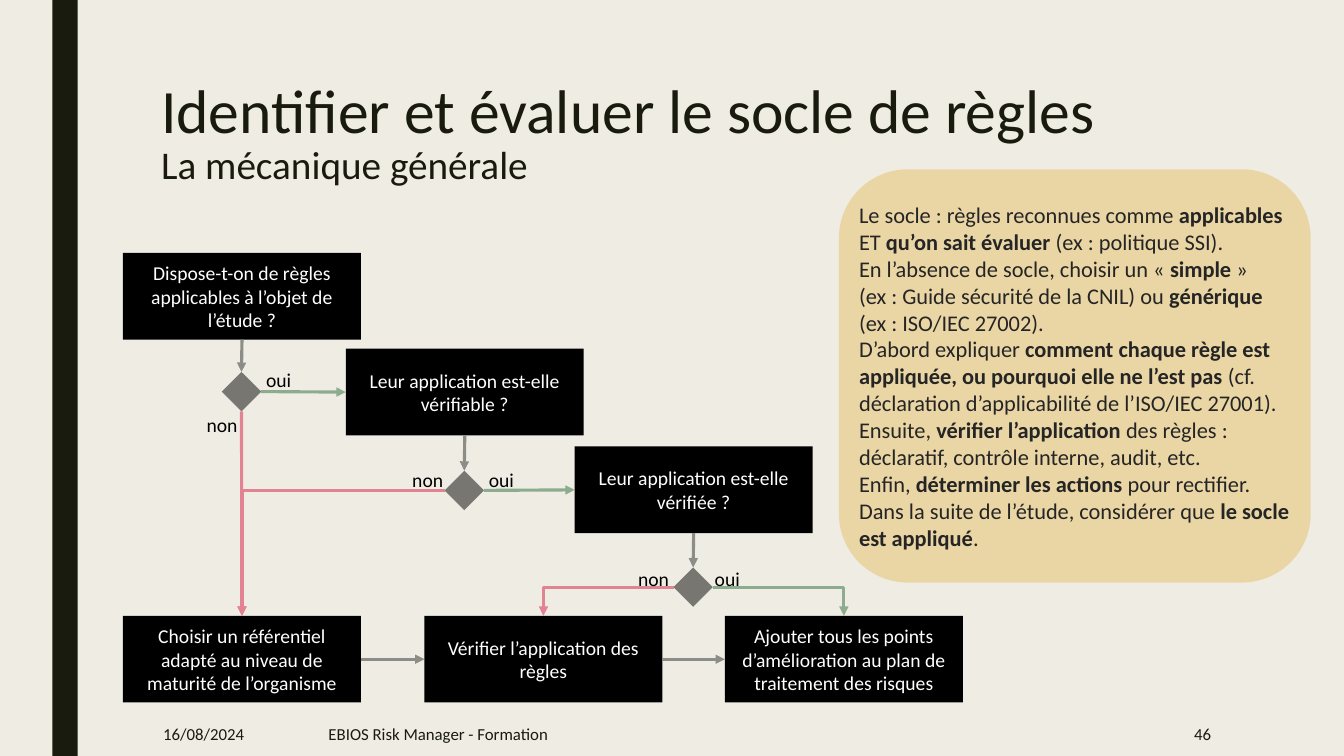
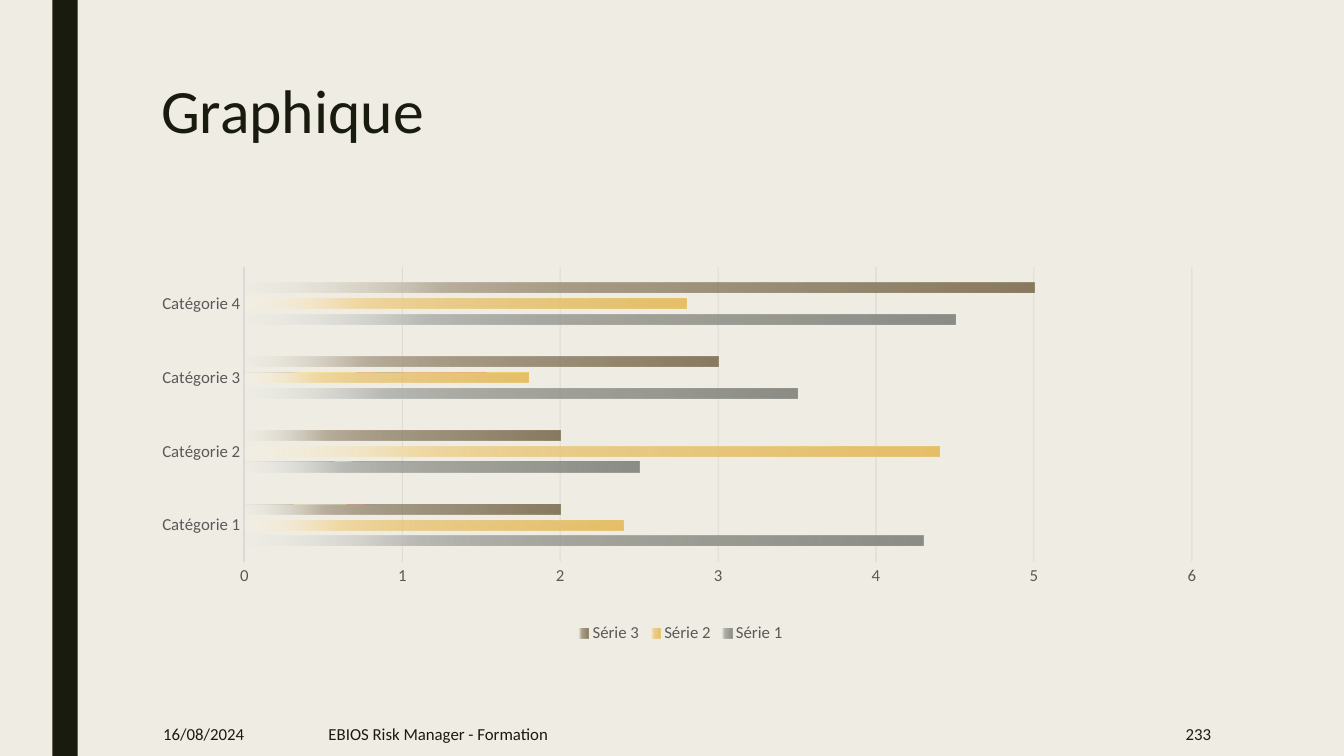
from dataclasses import dataclass
from typing import Any

from lxml.etree import SubElement
from pptx import Presentation
from pptx.chart.data import CategoryChartData
from pptx.dml.color import RGBColor
from pptx.enum.chart import XL_CHART_TYPE, XL_LEGEND_POSITION, XL_TICK_MARK
from pptx.enum.shapes import MSO_CONNECTOR, MSO_SHAPE
from pptx.enum.text import MSO_ANCHOR, MSO_AUTO_SIZE, PP_ALIGN
from pptx.oxml import parse_xml
from pptx.oxml.ns import nsdecls, qn
from pptx.util import Inches, Pt

CREAM = RGBColor(0xEF, 0xED, 0xE3)
INK = RGBColor(0x19, 0x1B, 0x0E)
BLACK = RGBColor(0x00, 0x00, 0x00)
WHITE = RGBColor(0xFF, 0xFF, 0xFF)
GREY = RGBColor(0x8C, 0x8D, 0x86)
GREEN = RGBColor(0x8D, 0xAB, 0x8E)
PINK = RGBColor(0xE2, 0x83, 0x94)
GOLD = RGBColor(0xE6, 0xC0, 0x69)
BROWN = RGBColor(0x89, 0x7B, 0x61)
BODY = RGBColor(0x25, 0x25, 0x25)
AXIS_TEXT = RGBColor(0x59, 0x59, 0x59)
AXIS_LINE = RGBColor(0xD9, 0xD9, 0xD9)
GRID = RGBColor(0xBF, 0xBF, 0xBF)
FONT = "Calibri"

BOX_WIDTH, BOX_HEIGHT, DIAMOND_SIZE = 2.36, 0.86, 0.39
TOP, LEFT, BOTTOM, RIGHT = range(4)


@dataclass(frozen=True)
class Node:
    name: str
    left: float
    top: float
    text: str = ""


@dataclass(frozen=True)
class Link:
    source: str
    source_site: int
    target: str
    target_site: int
    color: RGBColor
    bent: bool = False


@dataclass(frozen=True)
class Label:
    text: str
    left: float
    top: float


@dataclass(frozen=True)
class Series:
    name: str
    values: tuple[float, ...]
    color: RGBColor
    light: RGBColor
    pale: RGBColor


NODES = (
    Node("rules", 1.22, 2.51, "Dispose-t-on de règles applicables à l’objet de l’étude ?"),
    Node("verifiable", 3.43, 3.46, "Leur application est-elle vérifiable ?"),
    Node("verified", 5.7, 4.43, "Leur application est-elle vérifiée ?"),
    Node("choose", 1.22, 6.11, "Choisir un référentiel adapté au niveau de maturité de l’organisme"),
    Node("check", 4.21, 6.11, "Vérifier l’application des règles"),
    Node("improve", 7.19, 6.11,
         "Ajouter tous les points d’amélioration au plan de traitement des risques"),
    Node("rules?", 2.2, 3.69),
    Node("verifiable?", 4.41, 4.67),
    Node("verified?", 6.68, 5.63),
)
LINKS = (
    Link("rules", BOTTOM, "rules?", TOP, GREY),
    Link("verifiable", BOTTOM, "verifiable?", TOP, GREY),
    Link("verified", BOTTOM, "verified?", TOP, GREY),
    Link("choose", RIGHT, "check", LEFT, GREY),
    Link("check", RIGHT, "improve", LEFT, GREY),
    Link("rules?", RIGHT, "verifiable", LEFT, GREEN),
    Link("verifiable?", RIGHT, "verified", LEFT, GREEN),
    Link("verified?", RIGHT, "improve", TOP, GREEN, bent=True),
    Link("rules?", BOTTOM, "choose", TOP, PINK),
    Link("verifiable?", LEFT, "choose", TOP, PINK, bent=True),
    Link("verified?", LEFT, "check", TOP, PINK, bent=True),
)
LABELS = (
    Label("oui", 2.54, 3.6), Label("oui", 4.75, 4.59), Label("oui", 6.99, 5.58),
    Label("non", 1.95, 4.05), Label("non", 3.99, 4.59), Label("non", 6.23, 5.58),
)
ADVICE = (
    ("Le socle : règles reconnues comme ", "applicables", " ET ", "qu’on sait évaluer ",
     "(ex : politique SSI)."),
    ("En l’absence de socle, choisir un «\u00a0", "simple",
     "\u00a0» (ex\u00a0: Guide sécurité de la CNIL) ou ", "générique", " (ex : ISO/IEC 27002)."),
    ("D’abord expliquer ", "comment chaque règle est appliquée, ou pourquoi elle ne l’est pas ",
     "(cf. déclaration d’applicabilité de l’ISO/IEC 27001)."),
    ("Ensuite, ", "vérifier l’application ",
     "des règles : déclaratif, contrôle interne, audit, etc."),
    ("Enfin, ", "déterminer les actions ", "pour rectifier."),
    ("Dans la suite de l’étude, considérer que ", "le socle est appliqué", "."),
)
CATEGORIES = ("Catégorie\u00a01", "Catégorie 2", "Catégorie 3", "Catégorie 4")
SERIES = (
    Series("Série\u00a01", (4.3, 2.5, 3.5, 4.5), GREY,
           RGBColor(0xBA, 0xBB, 0xB6), RGBColor(0xE8, 0xE8, 0xE7)),
    Series("Série\u00a02", (2.4, 4.4, 1.8, 2.8), GOLD,
           RGBColor(0xF0, 0xD9, 0xA5), RGBColor(0xFA, 0xF2, 0xE1)),
    Series("Série\u00a03", (2, 2, 3, 5), BROWN,
           RGBColor(0xBA, 0xB0, 0x9E), RGBColor(0xE8, 0xE5, 0xDF)),
)


def apply(target: Any, **values: Any) -> None:
    for name, value in values.items():
        setattr(target, name, value)


def style_font(font: Any, size: float, color: RGBColor, bold: bool = False) -> None:
    apply(font, name=FONT, size=Pt(size), bold=bold)
    font.color.rgb = color


def set_alpha(color: Any, percent: int) -> None:
    SubElement(color, qn("a:alpha")).set("val", str(percent * 1000))


def add_span(para: Any, text: str, size: float, color: RGBColor, bold: bool = False) -> None:
    span = para.add_run()
    span.text = text
    style_font(span.font, size, color, bold)


def add_text(page: Any, area: tuple[float, ...], text: str, size: float, color: RGBColor,
             align: PP_ALIGN = PP_ALIGN.LEFT, **frame: Any) -> Any:
    box = page.shapes.add_textbox(*map(Inches, area))
    apply(box.text_frame, **{"word_wrap": True, **frame})
    para = box.text_frame.paragraphs[0]
    para.alignment = align
    add_span(para, text, size, color)
    return para


def add_block(page: Any, kind: MSO_SHAPE, area: tuple[float, ...], color: RGBColor,
              alpha: int = 100) -> Any:
    block = page.shapes.add_shape(kind, *map(Inches, area))
    block.shadow.inherit = False
    block.fill.solid()
    block.fill.fore_color.rgb = color
    block.line.fill.background()
    if alpha < 100:
        set_alpha(next(block.element.spPr.iter(qn("a:srgbClr"))), alpha)
    return block


def add_page(deck: Any, title: str, number: int, subtitle: str = "") -> Any:
    page = deck.slides.add_slide(deck.slide_layouts[6])
    add_block(page, MSO_SHAPE.RECTANGLE, (0.52, 0, 0.25, 7.5), INK)
    heading = add_text(page, (1.5, 0.75, 10.5, 1.62), title, 44, INK)
    heading.line_spacing = 0.89
    if subtitle:
        heading.add_line_break()
        add_span(heading, subtitle, 28, INK)
    footers = (
        (1.52, 1.32, "16/08/2024", PP_ALIGN.LEFT),
        (3.16, 6.87, "EBIOS Risk Manager - Formation", PP_ALIGN.LEFT),
        (10.36, 1.75, str(number), PP_ALIGN.RIGHT),
    )
    for left, width, text, align in footers:
        add_text(page, (left, 7.06, width, 0.44), text, 12, INK, align,
                 vertical_anchor=MSO_ANCHOR.MIDDLE)
    return page


def add_node(page: Any, node: Node) -> Any:
    if not node.text:
        area = (node.left, node.top, DIAMOND_SIZE, DIAMOND_SIZE)
        return add_block(page, MSO_SHAPE.DIAMOND, area, BLACK, 50)
    area = (node.left, node.top, BOX_WIDTH, BOX_HEIGHT)
    box = add_block(page, MSO_SHAPE.RECTANGLE, area, BLACK)
    apply(box.text_frame, word_wrap=True, vertical_anchor=MSO_ANCHOR.MIDDLE)
    para = box.text_frame.paragraphs[0]
    para.alignment = PP_ALIGN.CENTER
    add_span(para, node.text, 14, WHITE)
    return box


def add_link(page: Any, link: Link, shapes: dict[str, Any]) -> None:
    kind = MSO_CONNECTOR.ELBOW if link.bent else MSO_CONNECTOR.STRAIGHT
    arrow = page.shapes.add_connector(kind, 0, 0, 0, 0)
    arrow.begin_connect(shapes[link.source], link.source_site)
    arrow.end_connect(shapes[link.target], link.target_site)
    arrow.line.color.rgb = link.color
    arrow.line.width = Pt(2.25)
    properties = arrow.element.spPr
    if link.bent:
        properties.find(qn("a:prstGeom")).set("prst", "bentConnector2")
    SubElement(properties.find(qn("a:ln")), qn("a:tailEnd")).set("type", "triangle")
    SubElement(properties, qn("a:effectLst"))


def add_advice(page: Any) -> None:
    panel = add_block(page, MSO_SHAPE.FLOWCHART_ALTERNATE_PROCESS, (8.32, 1.68, 4.68, 4.1), GOLD, 50)
    frame = panel.text_frame
    apply(frame, word_wrap=True, vertical_anchor=MSO_ANCHOR.MIDDLE,
          margin_left=0, margin_top=0, margin_right=0, margin_bottom=0)
    for index, texts in enumerate(ADVICE):
        para = frame.add_paragraph() if index else frame.paragraphs[0]
        para.alignment = PP_ALIGN.LEFT
        for position, text in enumerate(texts):
            add_span(para, text, 16, BODY, bold=position % 2 == 1)


def fade_bars(bars: Any, series: Series) -> None:
    bars.format.fill.gradient()
    bars.format.fill.gradient_angle = 180
    stops = next(bars._element.iter(qn("a:gsLst")))
    for stop in list(stops):
        stops.remove(stop)
    for position, color, alpha in ((0, series.color, 100), (51, series.color, 75),
                                   (75, series.light, 100), (100, series.pale, 15)):
        stop = SubElement(stops, qn("a:gs"))
        stop.set("pos", str(position * 1000))
        paint = SubElement(stop, qn("a:srgbClr"))
        paint.set("val", str(color))
        if alpha < 100:
            set_alpha(paint, alpha)


def place_plot(chart: Any, **fractions: float) -> None:
    area = next(chart._chartSpace.iter(qn("c:plotArea")))
    for layout in area.findall(qn("c:layout")):
        area.remove(layout)
    sizes = "".join(f'<c:{name} val="{value}"/>' for name, value in fractions.items())
    area.insert(0, parse_xml(
        f'<c:layout {nsdecls("c")}><c:manualLayout><c:layoutTarget val="inner"/>'
        f'<c:xMode val="edge"/><c:yMode val="edge"/>{sizes}</c:manualLayout></c:layout>'))


def add_bar_chart(page: Any) -> None:
    data = CategoryChartData()
    data.categories = CATEGORIES
    for series in SERIES:
        data.add_series(series.name, series.values)
    area = map(Inches, (1.5, 2.5, 10.5, 3.92))
    chart = page.shapes.add_chart(XL_CHART_TYPE.BAR_CLUSTERED, *area, data).chart
    apply(chart, has_title=False, has_legend=True)
    style_font(chart.font, 10, BLACK)
    apply(chart.legend, position=XL_LEGEND_POSITION.BOTTOM, include_in_layout=False)
    style_font(chart.legend.font, 12, AXIS_TEXT)
    plot = chart.plots[0]
    apply(plot, gap_width=326, overlap=-58, vary_by_categories=False)
    for bars, series in zip(plot.series, SERIES):
        fade_bars(bars, series)
    for axis in (chart.category_axis, chart.value_axis):
        apply(axis, major_tick_mark=XL_TICK_MARK.NONE, minor_tick_mark=XL_TICK_MARK.NONE)
        style_font(axis.tick_labels.font, 12, AXIS_TEXT)
    apply(chart.value_axis, minimum_scale=0, maximum_scale=6, major_unit=1)
    chart.value_axis.format.line.fill.background()
    grid = chart.value_axis.major_gridlines
    for line, color, width in ((chart.category_axis.format.line, AXIS_LINE, 1.5),
                               (grid.format.line, GRID, 0.75)):
        line.color.rgb = color
        line.width = Pt(width)
    grid_element = next(chart._chartSpace.iter(qn("c:majorGridlines")))
    set_alpha(next(grid_element.iter(qn("a:srgbClr"))), 36)
    place_plot(chart, x=0.088, y=0.037, w=0.895, h=0.748)


def main() -> None:
    deck = Presentation()
    apply(deck, slide_width=Inches(13.33), slide_height=Inches(7.5))
    background = deck.slide_master.background.fill
    background.solid()
    background.fore_color.rgb = CREAM

    page = add_page(deck, "Identifier et évaluer le socle de règles", 46, "La mécanique générale")
    shapes = {node.name: add_node(page, node) for node in NODES}
    for link in LINKS:
        add_link(page, link, shapes)
    for label in LABELS:
        width = 0.45 if label.text == "oui" else 0.51
        add_text(page, (label.left, label.top, width, 0.34), label.text, 14, BLACK,
                 word_wrap=False, auto_size=MSO_AUTO_SIZE.SHAPE_TO_FIT_TEXT)
    add_advice(page)

    add_bar_chart(add_page(deck, "Graphique", 233))
    deck.save("out.pptx")


if __name__ == "__main__":
    main()
